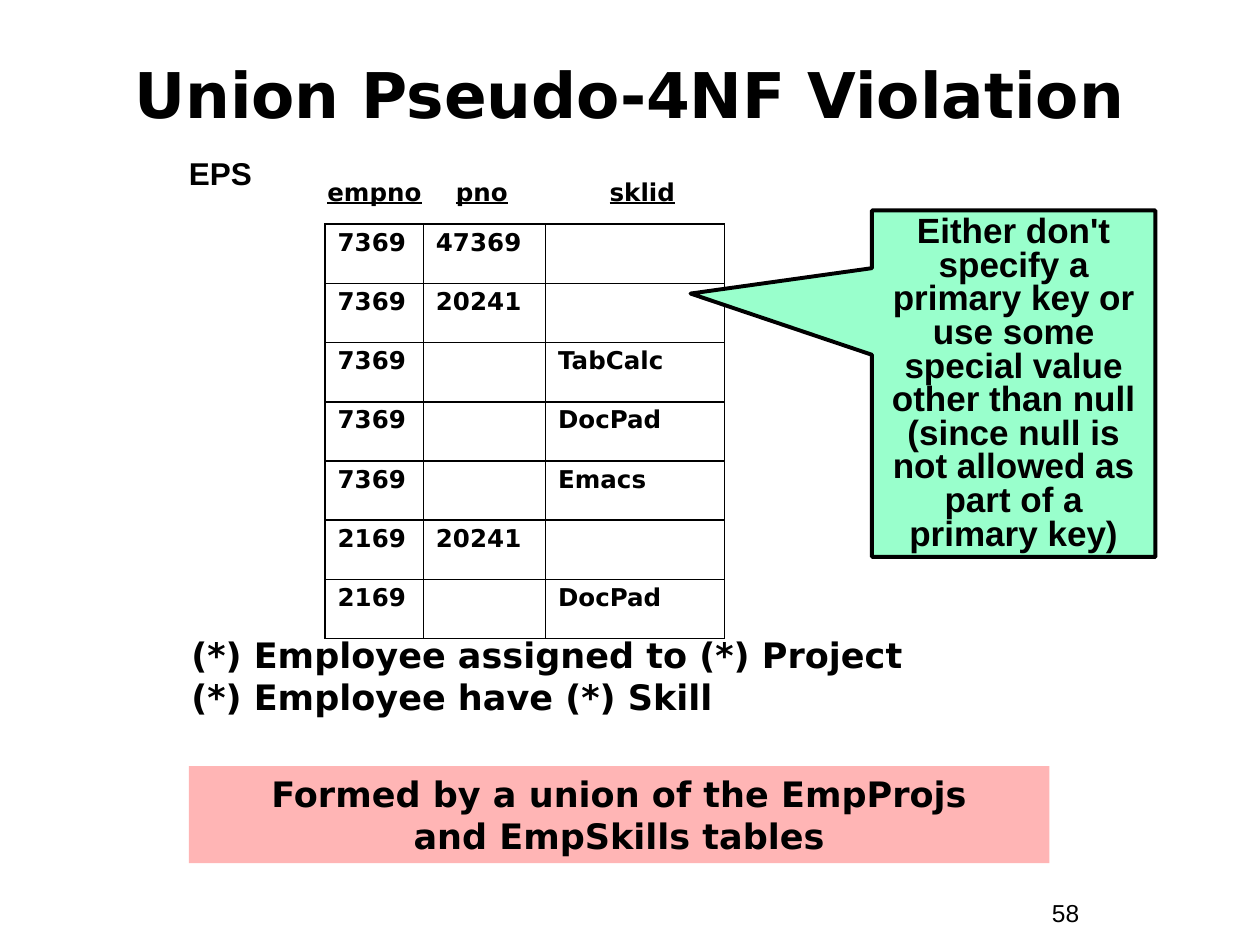
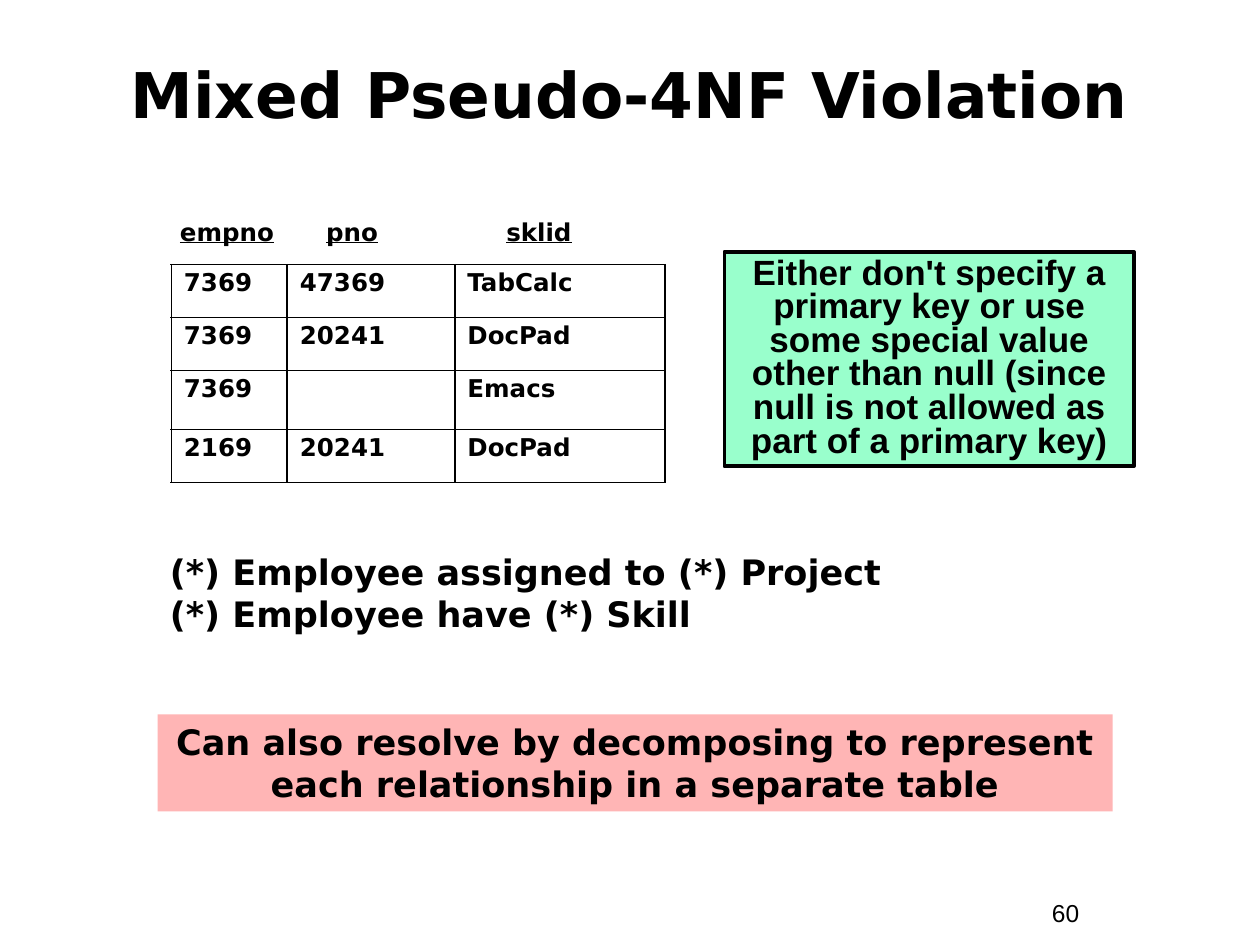
from lxml import etree
from pptx import Presentation
from pptx.dml.color import RGBColor
from pptx.enum import shapes, text
from pptx.oxml import ns
from pptx.util import Inches, Pt

BLACK = RGBColor(0x00, 0x00, 0x00)
MINT = RGBColor(0x99, 0xFF, 0xCC)
PINK = RGBColor(0xFF, 0xB5, 0xB5)
SANS, ARIAL = "DejaVu Sans", "Arial"
CENTER = text.PP_ALIGN.CENTER
RECTANGLE = shapes.MSO_SHAPE.RECTANGLE
CALLOUT = shapes.MSO_SHAPE.RECTANGULAR_CALLOUT

# Content: positions are left, top, width, height in inches
COLUMNS = ("empno", "pno", "sklid")
ADVICE = ("Either don't specify a primary key or use some special value other "
          "than null (since null is not allowed as part of a primary key)")
RELATIONS = ("(*) Employee assigned to (*) Project\v"
             "(*) Employee have (*) Skill")

PAGES = [
    {
        "title": "Union Pseudo-4NF Violation",
        "number": "58",
        "label": ("EPS", (1, 1.21, 1.5, 0.37)),
        "header": ((2.5, 1.36, 3.66, 0.34), (1.02, 2.24)),
        "table_at": (2.58, 1.78),
        "widths": (0.78, 0.97, 1.42),
        "rows": [
            ("7369", "47369", ""),
            ("7369", "20241", ""),
            ("7369", "", "TabCalc"),
            ("7369", "", "DocPad"),
            ("7369", "", "Emacs"),
            ("2169", "20241", ""),
            ("2169", "", "DocPad"),
        ],
        "advice": (CALLOUT, (6.92, 1.67, 2.25, 2.75), (-1.14, -0.26)),
        "relations_at": (1.42, 4.98, 7.17, 0.77),
        "remark": ("Formed by a union of the EmpProjs\vand EmpSkills tables",
                   (1.5, 6.08, 6.83, 0.77)),
    },
    {
        "title": "Mixed Pseudo-4NF Violation",
        "number": "60",
        "header": ((1.33, 1.67, 3.66, 0.34), (1.16, 2.59)),
        "table_at": (1.36, 2.1),
        "widths": (0.92, 1.33, 1.67),
        "rows": [
            ("7369", "47369", "TabCalc"),
            ("7369", "20241", "DocPad"),
            ("7369", "", "Emacs"),
            ("2169", "20241", "DocPad"),
        ],
        "advice": (RECTANGLE, (5.75, 2, 3.25, 1.7), ()),
        "relations_at": (1.25, 4.32, 7.17, 0.77),
        "remark": ("Can also resolve by decomposing to represent "
                   "each relationship in a separate table",
                   (1.25, 5.67, 7.58, 0.77)),
    },
]


def inches(values):
    return [Inches(value) for value in values]


def style_font(font, size, name, bold=True):
    font.size, font.name, font.bold = Pt(size), name, bold
    font.color.rgb = BLACK


def write(frame, words, size, name, bold=True, align=None, spacing=None):
    frame.text = words
    para = frame.paragraphs[0]
    para.alignment, para.line_spacing = align, spacing
    for span in para.runs:
        style_font(span.font, size, name, bold)


def add_text(page, place, words, size, name, **look):
    box = page.shapes.add_textbox(*inches(place))
    box.text_frame.word_wrap = True
    write(box.text_frame, words, size, name, **look)


def add_panel(page, kind, place, fill, words, name, line=None, spacing=None):
    panel = page.shapes.add_shape(kind, *inches(place))
    panel.shadow.inherit = False
    panel.fill.solid()
    panel.fill.fore_color.rgb = fill
    if line:
        panel.line.color.rgb = BLACK
        panel.line.width = Pt(line)
    else:
        panel.line.fill.background()
    panel.text_frame.word_wrap = True
    panel.text_frame.vertical_anchor = text.MSO_ANCHOR.TOP
    write(panel.text_frame, words, 20, name, align=CENTER, spacing=spacing)
    return panel


def set_title(page, words):
    title = page.shapes.title
    title.left, title.top, title.width, title.height = inches((0.33, 0.33, 9.33, 0.92))
    frame = title.text_frame
    frame.auto_size = text.MSO_AUTO_SIZE.NONE
    frame.vertical_anchor = text.MSO_ANCHOR.MIDDLE
    write(frame, words, 36, SANS, align=CENTER, spacing=0.85)


def add_header(page, place, stops):
    """Underlined column names, set apart by tab stops."""
    box = page.shapes.add_textbox(*inches(place))
    box.text_frame.word_wrap = True
    para = box.text_frame.paragraphs[0]
    tabs = etree.SubElement(para._p.get_or_add_pPr(), ns.qn("a:tabLst"))
    for stop in stops:
        etree.SubElement(tabs, ns.qn("a:tab"), pos=str(Inches(stop)), algn="l")
    for index, column in enumerate(COLUMNS):
        for words in (["\t"] if index else []) + [column]:
            span = para.add_run()
            span.text = words
            style_font(span.font, 14, SANS)
            span.font.underline = words == column


def add_borders(cell):
    properties = cell._tc.get_or_add_tcPr()
    for side in ("lnL", "lnR", "lnT", "lnB"):
        line = etree.SubElement(properties, ns.qn(f"a:{side}"), w=str(Pt(1.08)))
        fill = etree.SubElement(line, ns.qn("a:solidFill"))
        etree.SubElement(fill, ns.qn("a:srgbClr"), val=str(BLACK))


def add_grid(page, corner, widths, rows):
    # Rows with an empty cell stand a little taller
    heights = [0.42 if all(row) else 0.47 for row in rows]
    place = (*corner, sum(widths), sum(heights))
    table = page.shapes.add_table(len(rows), len(widths), *inches(place)).table
    table.first_row = table.horz_banding = False
    for column, width in zip(table.columns, widths):
        column.width = Inches(width)
    for line, height, row in zip(table.rows, heights, rows):
        line.height = Inches(height)
        for cell, words in zip(line.cells, row):
            add_borders(cell)
            cell.fill.background()
            write(cell.text_frame, words, 14, SANS, spacing=0.9)


def build_page(deck, content):
    page = deck.slides.add_slide(deck.slide_layouts[5])
    set_title(page, content["title"])
    add_text(page, (8.25, 7.08, 0.92, 0.34), content["number"], 14, ARIAL, bold=False)

    # Table with its column names
    add_grid(page, content["table_at"], content["widths"], content["rows"])
    add_header(page, *content["header"])
    if "label" in content:
        words, place = content["label"]
        add_text(page, place, words, 18, ARIAL, align=CENTER, spacing=0.9)

    # Advice, relationships and closing remark
    kind, place, pointer = content["advice"]
    advice = add_panel(page, kind, place, MINT, ADVICE, ARIAL, line=2.25, spacing=0.8)
    for index, value in enumerate(pointer):
        advice.adjustments[index] = value
    add_text(page, content["relations_at"], RELATIONS, 20, SANS)
    words, place = content["remark"]
    add_panel(page, RECTANGLE, place, PINK, words, SANS)


def main():
    deck = Presentation()
    deck.slide_width, deck.slide_height = Inches(10), Inches(7.5)
    for content in PAGES:
        build_page(deck, content)
    deck.save("out.pptx")


if __name__ == "__main__":
    main()
